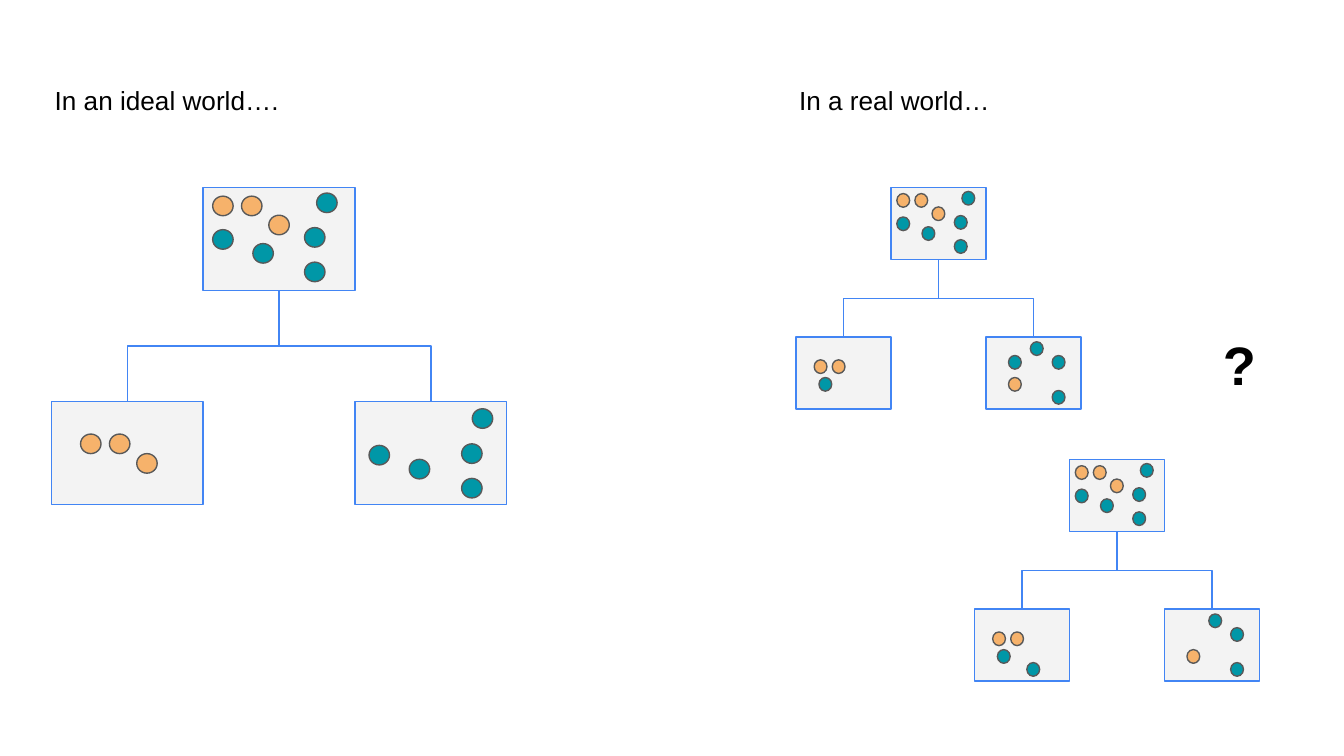
from pptx import Presentation
from pptx.dml.color import RGBColor
from pptx.enum.shapes import MSO_CONNECTOR, MSO_SHAPE
from pptx.util import Pt
from lxml import etree

RECTANGLE, OVAL = MSO_SHAPE.RECTANGLE, MSO_SHAPE.OVAL
ELBOW = MSO_CONNECTOR.ELBOW
BOTTOM, TOP = 2, 0
DRAWING_NS = "http://schemas.openxmlformats.org/drawingml/2006/main"

ORANGE, TEAL, DOT_LINE = "F6B26B", "0097A7", "595959"
NODE_FILL, NODE_LINE, BLACK = "F3F3F3", "4285F4", "000000"

# Sample centres, in percent of the node that holds them
ROOT = {
    ORANGE: [(13, 18), (32, 18), (50, 36.5)],
    TEAL: [(81.5, 15), (13, 50.5), (39.5, 64), (73.5, 48.5), (73.5, 82)],
}
IDEAL_LEFT = {ORANGE: [(26, 41), (45, 41), (63, 60)]}
IDEAL_RIGHT = {TEAL: [(84, 16.5), (16, 52), (42.5, 65.5), (77, 50.5), (77, 84)]}
MIXED_LEFT = {ORANGE: [(26, 41), (45, 41)], TEAL: [(31, 65.5)]}
MIXED_RIGHT = {ORANGE: [(30.5, 65.5)], TEAL: [(76.5, 35), (53.5, 16), (76.5, 83.5)]}


def with_teal(samples, centre):
    return {**samples, TEAL: samples[TEAL] + [centre]}


def color(hex_code):
    return RGBColor.from_string(hex_code)


def add_filled(shapes, kind, left, top, width, height, fill, line):
    shape = shapes.add_shape(kind, Pt(left), Pt(top), Pt(width), Pt(height))
    shape.shadow.inherit = False
    shape.fill.solid()
    shape.fill.fore_color.rgb = color(fill)
    shape.line.color.rgb = color(line)
    shape.line.width = Pt(0.75)
    return shape


def add_branch(shapes, parent, child):
    """Elbow from the parent's bottom, turning halfway down, to the child's top."""
    x1, y1 = parent.left + parent.width // 2, parent.top + parent.height
    x2, y2 = child.left + child.width // 2, child.top
    branch = shapes.add_connector(ELBOW, x1, y1, x2, y2)
    branch.begin_connect(parent, BOTTOM)
    branch.end_connect(child, TOP)
    # An elbow leaves sideways, so its frame is turned a quarter about its centre
    drop, spread = y2 - y1, abs(x2 - x1)
    branch.left, branch.top = (x1 + x2 - drop) // 2, (y1 + y2 - spread) // 2
    branch.width, branch.height = drop, spread
    goes_right = x2 > x1
    frame = branch._element.spPr.xfrm
    frame.set("rot", "16200000" if goes_right else "5400000")
    frame.set("flipH", "1" if goes_right else "0")
    branch.line.color.rgb = color(NODE_LINE)
    branch.line.width = Pt(0.75)
    etree.SubElement(branch._element.spPr, f"{{{DRAWING_NS}}}effectLst")


def add_tree(shapes, left, top, width, height, left_samples, right_samples):
    """A root over two children, on a grid of three equal columns."""
    node_w, node_h = width / 3, height * 0.325
    child_top = top + height - node_h
    nodes = [
        (left + node_w, top, ROOT),
        (left, child_top, left_samples),
        (left + 2 * node_w, child_top, right_samples),
    ]
    root, *children = [
        add_filled(shapes, RECTANGLE, x, y, node_w, node_h, NODE_FILL, NODE_LINE)
        for x, y, _ in nodes
    ]
    for child in children:
        add_branch(shapes, root, child)

    dot_w, dot_h = node_w * 0.135, node_h * 0.19
    for x, y, samples in nodes:
        for fill, centres in samples.items():
            for across, down in centres:
                add_filled(shapes, OVAL,
                           x + node_w * across / 100 - dot_w / 2,
                           y + node_h * down / 100 - dot_h / 2,
                           dot_w, dot_h, fill, DOT_LINE)


def add_label(shapes, left, top, width, height, text, size, bold=False):
    frame = shapes.add_textbox(Pt(left), Pt(top), Pt(width), Pt(height)).text_frame
    frame.word_wrap = True
    frame.margin_left = frame.margin_right = Pt(7.2)
    frame.margin_top = frame.margin_bottom = Pt(7.2)
    paragraph = frame.paragraphs[0]
    paragraph.text = text
    font = paragraph.font
    font.name, font.size, font.bold = "Arial", Pt(size), bold
    font.color.rgb = color(BLACK)


def main():
    presentation = Presentation()
    presentation.slide_width, presentation.slide_height = Pt(720), Pt(405)
    slide = presentation.slides.add_slide(presentation.slide_layouts[6])
    shapes = slide.shapes

    add_tree(shapes, 27.5, 100.4, 244, 170, IDEAL_LEFT, IDEAL_RIGHT)
    add_label(shapes, 22.2, 38.2, 158.4, 31.7, "In an ideal world….", 14)

    add_tree(shapes, 426.4, 100.4, 152.7, 118.8,
             MIXED_LEFT, with_teal(MIXED_RIGHT, (30.5, 35)))
    add_label(shapes, 421, 38.2, 158.4, 31.7, "In a real world…", 14)

    second_try = shapes.add_group_shape().shapes
    add_tree(second_try, 522, 246.2, 152.7, 118.8,
             with_teal(MIXED_LEFT, (62, 83.5)), MIXED_RIGHT)
    add_label(shapes, 648, 170.6, 56.9, 49.7, "?", 29, bold=True)

    presentation.save("out.pptx")


if __name__ == "__main__":
    main()
